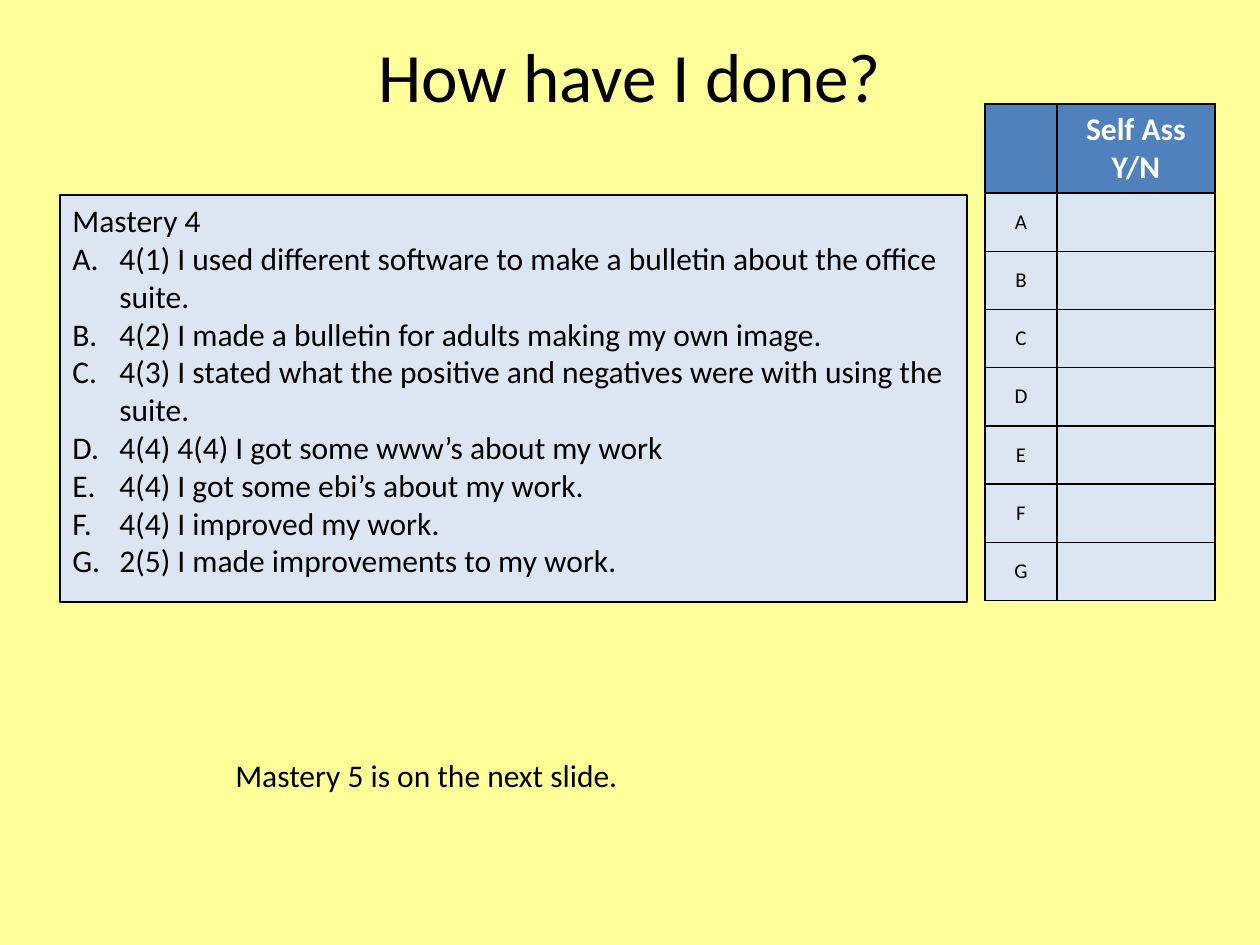
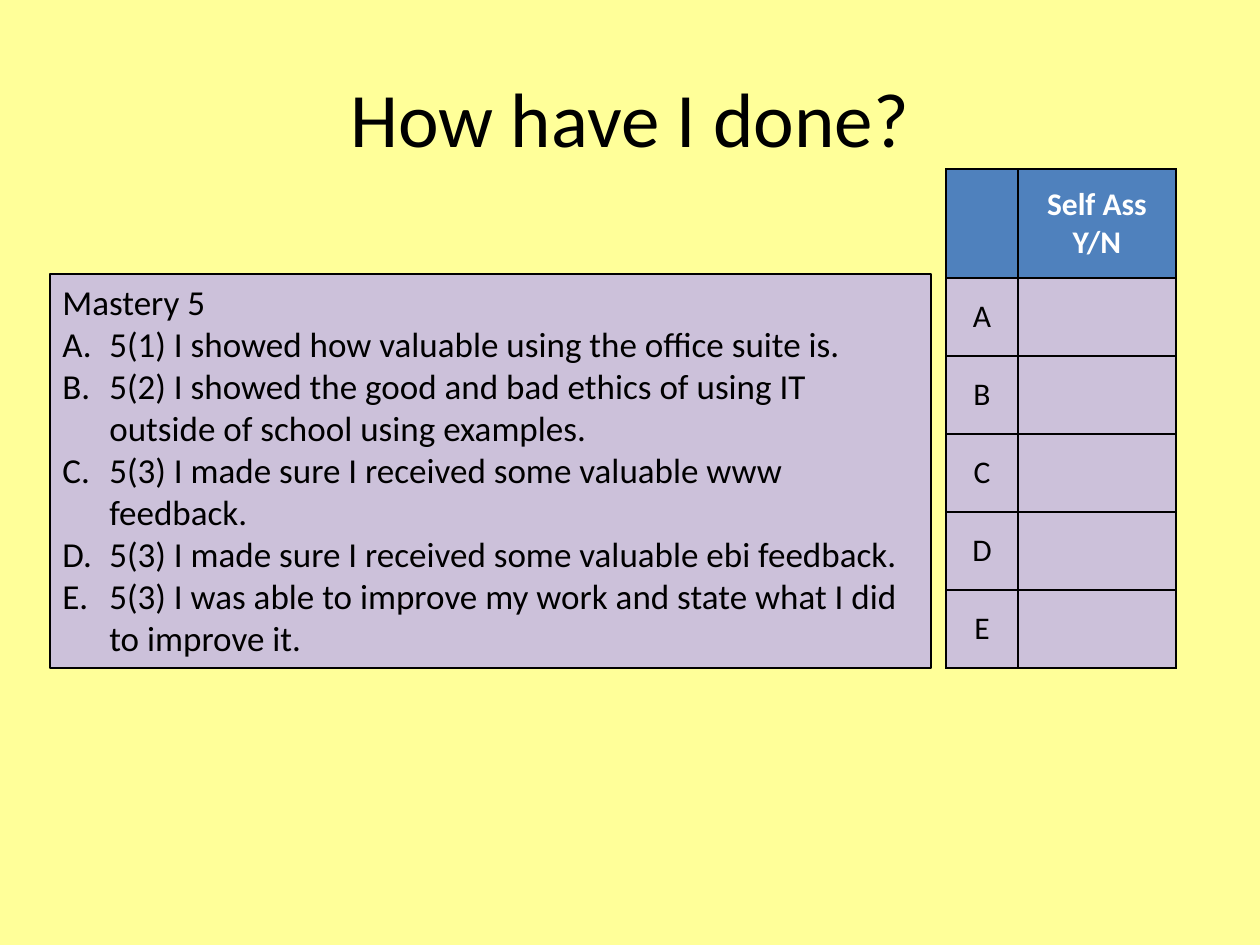
from lxml import etree
from pptx import Presentation
from pptx.dml.color import RGBColor
from pptx.enum.shapes import MSO_SHAPE
from pptx.enum.text import MSO_ANCHOR, PP_ALIGN
from pptx.oxml.ns import qn
from pptx.util import Pt

RECTANGLE = MSO_SHAPE.RECTANGLE
TOP, MIDDLE = MSO_ANCHOR.TOP, MSO_ANCHOR.MIDDLE
LEFT, CENTER = PP_ALIGN.LEFT, PP_ALIGN.CENTER

# Shared style
EMU_PER_PX = 914400 / 126
FONT = "Calibri"
COLOURS = {
    "page": "FFFF99",
    "ink": "000000",
    "header": "4F81BD",
    "header_text": "FFFFFF",
    "mastery_4": "DCE6F2",
    "mastery_5": "CCC1DA",
}
TITLE = "How have I done?"
TABLE_HEADING = "Self Ass\nY/N"
COLUMN_WIDTHS = (72, 158)
LETTERS = "ABCDEFG"
LIST_INDENT = 47

MASTERY_4 = [
    "4(1) I used different software to make a bulletin about the office suite.",
    "4(2) I made a bulletin for adults making my own image.",
    "4(3) I stated what the positive and negatives were with using the suite.",
    "4(4) 4(4) I got some www’s about my work",
    "4(4) I got some ebi’s about my work.",
    "4(4) I improved my work.",
    "2(5) I made improvements to my work.",
]
MASTERY_5 = [
    "5(1) I showed how valuable using the office suite is.",
    "5(2) I showed the good and bad ethics of using IT outside of school using examples.",
    "5(3) I made sure I received some valuable www feedback.",
    "5(3) I made sure I received some valuable ebi feedback.",
    "5(3) I was able to improve my work and state what I did to improve it.",
]


def px(length):
    return round(length * EMU_PER_PX)


def colour(name):
    return RGBColor.from_string(COLOURS[name])


def paint(target, name):
    target.fill.solid()
    target.fill.fore_color.rgb = colour(name)


def write(frame, text, size, align=LEFT, ink="ink", bold=False):
    frame.text = text
    for para in frame.paragraphs:
        para.alignment = align
        for span in para.runs:
            span.font.name = FONT
            span.font.size = Pt(size)
            span.font.bold = bold
            span.font.color.rgb = colour(ink)


def add_page(deck):
    page = deck.slides.add_slide(deck.slide_layouts[6])
    paint(page.background, "page")
    return page


def add_text(page, area, text, size, align=LEFT, anchor=TOP):
    box = page.shapes.add_textbox(*map(px, area))
    frame = box.text_frame
    frame.word_wrap = True
    frame.vertical_anchor = anchor
    write(frame, text, size, align)
    return box


def number_with_letters(para):
    properties = para._p.get_or_add_pPr()
    properties.set("marL", str(px(LIST_INDENT)))
    properties.set("indent", str(-px(LIST_INDENT)))
    etree.SubElement(properties, qn("a:buFont"), typeface="+mj-lt")
    etree.SubElement(properties, qn("a:buAutoNum"), type="alphaUcPeriod")


def add_criteria(page, area, heading, criteria, size, fill):
    panel = page.shapes.add_shape(RECTANGLE, *map(px, area))
    panel.shadow.inherit = False
    paint(panel, fill)
    panel.line.color.rgb = colour("ink")
    panel.line.width = Pt(0.75)
    frame = panel.text_frame
    frame.word_wrap = True
    frame.vertical_anchor = TOP
    write(frame, "\n".join([heading, *criteria]), size)
    for para in frame.paragraphs[1:]:
        number_with_letters(para)


def add_borders(cell):
    properties = cell._tc.get_or_add_tcPr()
    for side in ("lnL", "lnR", "lnT", "lnB"):
        line = etree.SubElement(properties, qn(f"a:{side}"), w=str(Pt(1)))
        fill = etree.SubElement(line, qn("a:solidFill"))
        etree.SubElement(fill, qn("a:srgbClr"), val=COLOURS["ink"])


def add_self_assessment(page, left, top, header_height, height, count, letter_size, fill):
    area = (left, top, sum(COLUMN_WIDTHS), height)
    table = page.shapes.add_table(count + 1, 2, *map(px, area)).table
    for column, width in zip(table.columns, COLUMN_WIDTHS):
        column.width = px(width)
    row_height = (height - header_height) / count
    for index, row in enumerate(table.rows):
        row.height = px(row_height if index else header_height)
        for cell in row.cells:
            add_borders(cell)
            paint(cell, fill if index else "header")
            cell.vertical_anchor = MIDDLE
    write(table.cell(0, 1).text_frame, TABLE_HEADING, 18, CENTER, "header_text", True)
    for index, letter in enumerate(LETTERS[:count], start=1):
        write(table.cell(index, 0).text_frame, letter, letter_size, CENTER)


def main():
    deck = Presentation()
    deck.slide_width, deck.slide_height = px(1260), px(945)

    # Mastery 4
    page = add_page(deck)
    title = add_text(page, (63, 33, 1134, 157), TITLE, 39.6, CENTER)
    title.text_frame.margin_top = 0
    add_criteria(page, (60, 195, 907, 407), "Mastery 4", MASTERY_4, 18, "mastery_4")
    add_self_assessment(page, 985, 104, 89, 497, len(MASTERY_4), 12, "mastery_4")
    add_text(page, (223, 750, 655, 50), "Mastery 5 is on the next slide.", 18)

    # Mastery 5
    page = add_page(deck)
    add_text(page, (63, 38, 1134, 157), TITLE, 44, CENTER, MIDDLE)
    add_criteria(page, (50, 274, 881, 394), "Mastery 5", MASTERY_5, 20, "mastery_5")
    add_self_assessment(page, 946, 169, 109, 499, len(MASTERY_5), 18, "mastery_5")

    deck.save("out.pptx")


if __name__ == "__main__":
    main()
